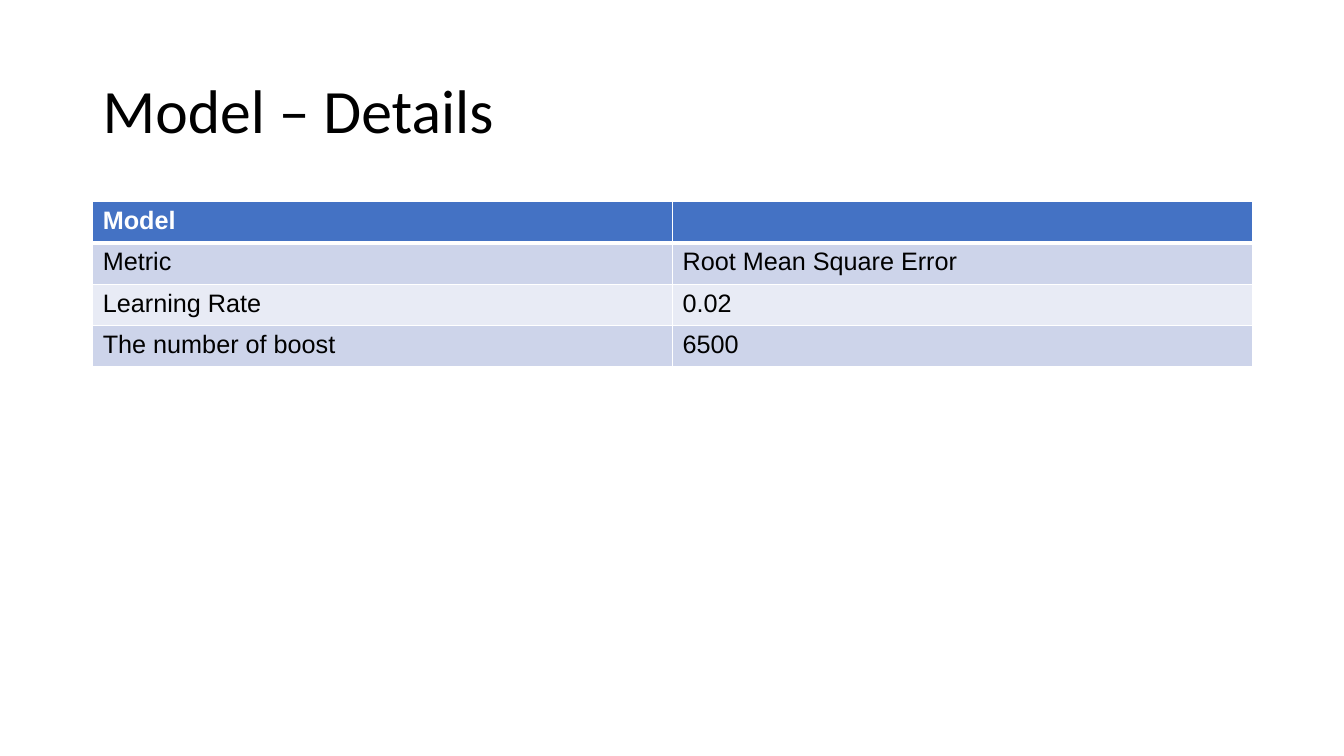
from lxml.etree import SubElement
from pptx import Presentation
from pptx.dml.color import RGBColor
from pptx.enum.text import MSO_ANCHOR
from pptx.oxml.ns import qn
from pptx.util import Inches, Pt

WHITE, BLACK = "FFFFFF", "000000"
HEADER_FILL = "4472C4"
BAND_FILLS = ("CDD4EA", "E8EBF5")
ROW_HEIGHT = 0.41
ROWS = [
    ("Model", ""),
    ("Metric", "Root Mean Square Error"),
    ("Learning Rate", "0.02"),
    ("The number of boost", "6500"),
]


def color(value):
    return RGBColor.from_string(value)


def format_runs(paragraph, name, size, text_color, bold=False):
    for run in paragraph.runs:
        run.font.name = name
        run.font.size = Pt(size)
        run.font.bold = bold
        run.font.color.rgb = color(text_color)


def add_title(slide, text, left, top, width, height):
    shape = slide.shapes.add_textbox(
        Inches(left), Inches(top), Inches(width), Inches(height))
    text_frame = shape.text_frame
    text_frame.word_wrap = True
    text_frame.vertical_anchor = MSO_ANCHOR.MIDDLE
    text_frame.text = text
    paragraph = text_frame.paragraphs[0]
    paragraph.line_spacing = 0.9
    format_runs(paragraph, "Calibri", 44, BLACK)


def set_borders(cell, widths):
    properties = cell._tc.get_or_add_tcPr()
    for side, width in widths.items():
        line = SubElement(properties, qn(f"a:ln{side}"), w=str(Pt(width)))
        fill = SubElement(line, qn("a:solidFill"))
        SubElement(fill, qn("a:srgbClr"), val=WHITE)


def add_details_table(slide, rows, left, top, width):
    table = slide.shapes.add_table(
        len(rows), len(rows[0]), Inches(left), Inches(top),
        Inches(width), Inches(ROW_HEIGHT * len(rows))).table
    for row_index, values in enumerate(rows):
        header = row_index == 0
        row_fill = HEADER_FILL if header else BAND_FILLS[(row_index - 1) % 2]
        widths = {"L": 1, "R": 1, "T": 3 if row_index == 1 else 1,
                  "B": 3 if header else 1}
        for column_index, value in enumerate(values):
            cell = table.cell(row_index, column_index)
            set_borders(cell, widths)
            cell.fill.solid()
            cell.fill.fore_color.rgb = color(row_fill)
            if value:
                cell.text_frame.text = value
                format_runs(cell.text_frame.paragraphs[0], "Arial", 18,
                            WHITE if header else BLACK, header)


def main():
    presentation = Presentation()
    presentation.slide_width = Inches(13.33)
    presentation.slide_height = Inches(7.5)
    slide = presentation.slides.add_slide(presentation.slide_layouts[6])
    add_title(slide, "Model – Details", 0.92, 0.4, 11.5, 1.45)
    add_details_table(slide, ROWS, 0.92, 2, 11.5)
    presentation.save("out.pptx")


if __name__ == "__main__":
    main()
